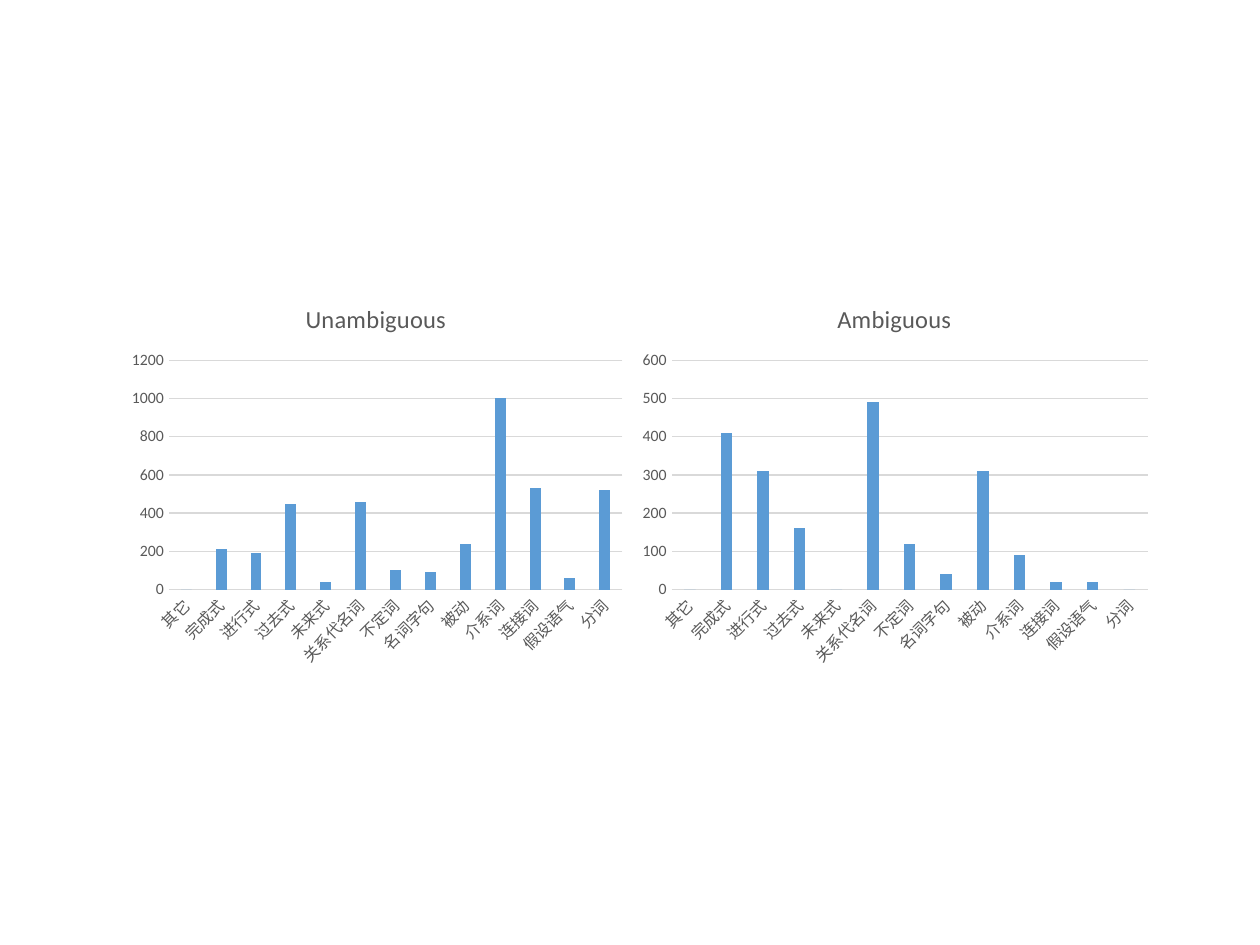
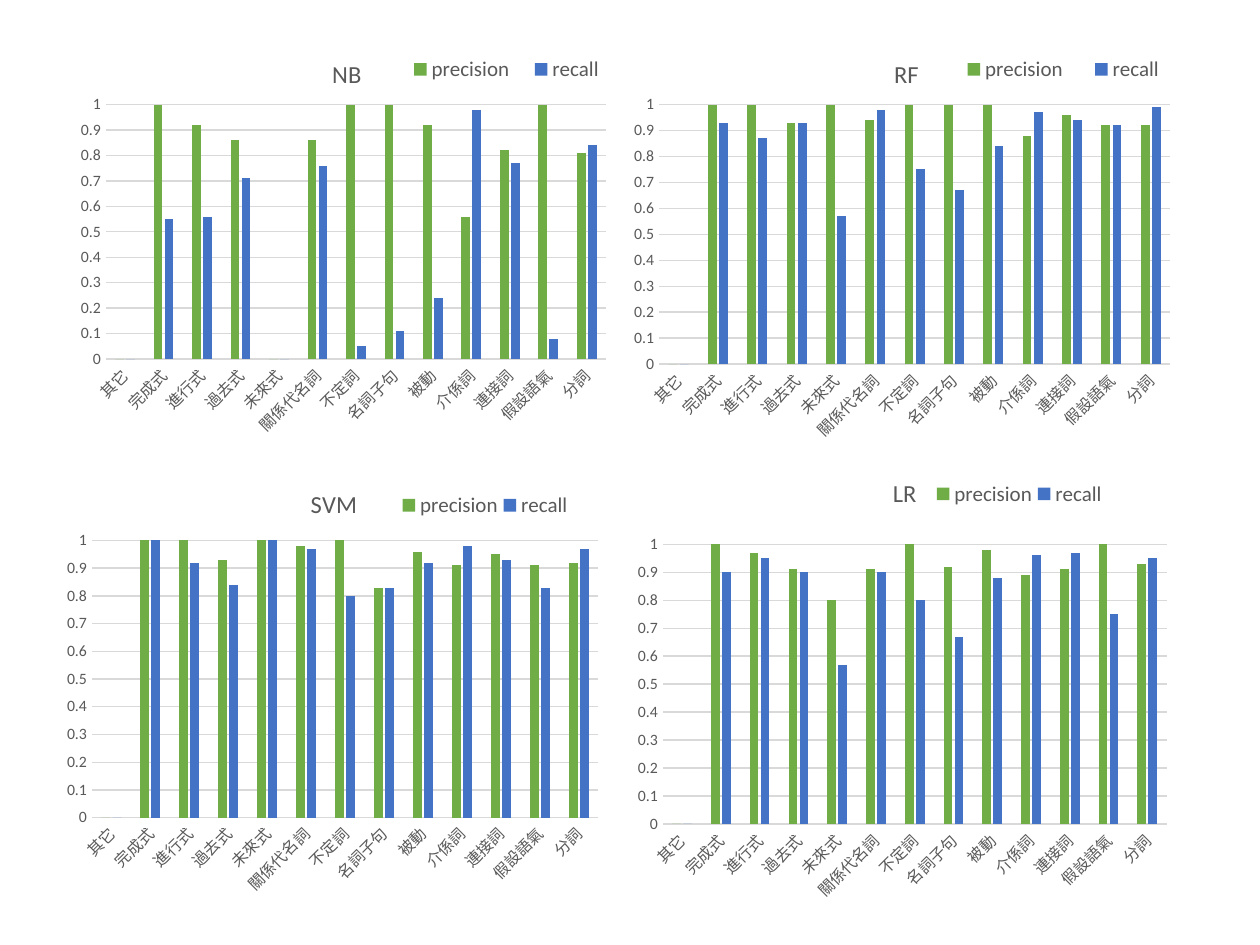
from lxml import etree
from pptx import Presentation
from pptx.chart import data as chart_data
from pptx.dml import color
from pptx.enum import chart as ce
from pptx.oxml import ns
from pptx.util import Inches, Pt

FONT = "Calibri"
GREY, GRID = "595959", "D9D9D9"
COUNT_BLUE, PRECISION_GREEN, RECALL_BLUE = "5B9BD5", "70AD47", "4472C4"
LEGEND_HEIGHT = 0.26

SIMPLIFIED = ["其它", "完成式", "进行式", "过去式", "未来式", "关系代名词", "不定词",
              "名词字句", "被动", "介系词", "连接词", "假设语气", "分词"]
TRADITIONAL = ["其它", "完成式", "進行式", "過去式", "未來式", "關係代名詞", "不定詞",
               "名詞子句", "被動", "介係詞", "連接詞", "假設語氣", "分詞"]

COUNTS = [
    dict(title="Unambiguous", title_at=(2.39, 2.36), frame=(0.96, 2.25, 4.05, 3.35),
         plot=(1.34, 2.86, 3.6, 1.82),
         values=[[0, 210, 190, 450, 40, 460, 100, 90, 240, 1000, 530, 60, 520]]),
    dict(title="Ambiguous", title_at=(6.61, 2.36), frame=(5.01, 2.25, 4.17, 3.35),
         plot=(5.33, 2.86, 3.78, 1.82),
         values=[[0, 410, 310, 160, 0, 490, 120, 40, 310, 90, 20, 20, 0]]),
]
SCORES = [
    dict(title="NB", title_at=(2.6, 0.42), frame=(0.57, 0.27, 4.37, 3.35),
         plot=(0.84, 0.83, 3.97, 2.02), legend=(3.14, 0.42, 1.76),
         values=[[0, 1, 0.92, 0.86, 0, 0.86, 1, 1, 0.92, 0.56, 0.82, 1, 0.81],
                 [0, 0.55, 0.56, 0.71, 0, 0.76, 0.05, 0.11, 0.24, 0.98, 0.77, 0.08, 0.84]]),
    dict(title="SVM", title_at=(2.43, 3.83), frame=(0.36, 3.72, 4.57, 3.49),
         plot=(0.73, 4.29, 4.02, 2.2), legend=(3.15, 3.88, 1.4),
         values=[[0, 1, 1, 0.93, 1, 0.98, 1, 0.83, 0.96, 0.91, 0.95, 0.91, 0.92],
                 [0, 1, 0.92, 0.84, 1, 0.97, 0.8, 0.83, 0.92, 0.98, 0.93, 0.83, 0.97]]),
    dict(title="RF", title_at=(7.06, 0.42), frame=(4.93, 0.27, 4.51, 3.35),
         plot=(5.23, 0.83, 4.06, 2.06), legend=(7.48, 0.42, 1.92),
         values=[[0, 1, 1, 0.93, 1, 0.94, 1, 1, 1, 0.88, 0.96, 0.92, 0.92],
                 [0, 0.93, 0.87, 0.93, 0.57, 0.98, 0.75, 0.67, 0.84, 0.97, 0.94, 0.92, 0.99]]),
    dict(title="LR", title_at=(7.05, 3.74), frame=(4.93, 3.62, 4.49, 3.7),
         plot=(5.26, 4.32, 4, 2.22), legend=(7.39, 3.79, 1.4),
         values=[[0, 1, 0.97, 0.91, 0.8, 0.91, 1, 0.92, 0.98, 0.89, 0.91, 1, 0.93],
                 [0, 0.9, 0.95, 0.9, 0.57, 0.9, 0.8, 0.67, 0.88, 0.96, 0.97, 0.75, 0.95]]),
]
SLIDES = [
    dict(charts=COUNTS, categories=SIMPLIFIED, series=[("Series 1", COUNT_BLUE)], top=None),
    dict(charts=SCORES, categories=TRADITIONAL,
         series=[("precision", PRECISION_GREEN), ("recall", RECALL_BLUE)], top=1),
]


def rgb(value):
    return color.RGBColor.from_string(value)


def style_font(font, size):
    font.name, font.size, font.bold = FONT, Pt(size), False
    font.color.rgb = rgb(GREY)


def style_line(line):
    line.color.rgb = rgb(GRID)
    line.width = Pt(0.75)


def place(part, frame, area, after=None, inner=False):
    """Position a chart part, given in slide inches, inside its frame."""
    for old in part.findall(ns.qn("c:layout")):
        part.remove(old)
    layout = etree.Element(ns.qn("c:layout"))
    manual = etree.SubElement(layout, ns.qn("c:manualLayout"))
    left, top, width, height = frame
    entries = [("layoutTarget", "inner")] if inner else []
    entries += [("xMode", "edge"), ("yMode", "edge")]
    offsets = (area[0] - left, area[1] - top, *area[2:])
    entries += [(name, f"{offset / whole:.4f}") for name, offset, whole
                in zip("xywh", offsets, (width, height, width, height))]
    for name, value in entries:
        etree.SubElement(manual, ns.qn(f"c:{name}")).set("val", value)
    if after:
        part.find(ns.qn(after)).addnext(layout)
    else:
        part.insert(0, layout)


def style_axes(chart, top):
    for axis in (chart.category_axis, chart.value_axis):
        axis.major_tick_mark = axis.minor_tick_mark = ce.XL_TICK_MARK.NONE
        style_font(axis.tick_labels.font, 9)
    categories, values = chart.category_axis, chart.value_axis
    style_line(categories.format.line)
    body = categories._element.find(ns.qn("c:txPr")).find(ns.qn("a:bodyPr"))
    body.set("rot", "-2700000")
    body.set("vert", "horz")
    values.format.line.fill.background()
    values.has_major_gridlines = True
    style_line(values.major_gridlines.format.line)
    values.minimum_scale = 0
    if top:
        values.maximum_scale, values.major_unit = top, top / 10


def add_bars(slide, item, categories, series, top):
    frame = item["frame"]
    table = chart_data.CategoryChartData()
    table.categories = categories
    for (name, _), values in zip(series, item["values"]):
        table.add_series(name, values)
    chart = slide.shapes.add_chart(ce.XL_CHART_TYPE.COLUMN_CLUSTERED,
                                   *map(Inches, frame), table).chart
    chart.font.name, chart.font.size = FONT, Pt(10)

    bars = chart.plots[0]
    bars.gap_width, bars.overlap, bars.vary_by_categories = 219, -27, False
    for bar, (_, fill) in zip(bars.series, series):
        bar.format.fill.solid()
        bar.format.fill.fore_color.rgb = rgb(fill)
        bar.invert_if_negative = False
    style_axes(chart, top)

    chart.has_title = True
    title = chart.chart_title
    run = title.text_frame.paragraphs[0].add_run()
    run.text = item["title"]
    style_font(run.font, 14)
    place(title._element, frame, item["title_at"], "c:tx")

    chart.has_legend = "legend" in item
    if chart.has_legend:
        legend = chart.legend
        legend.position = ce.XL_LEGEND_POSITION.BOTTOM
        legend.include_in_layout = False
        style_font(legend.font, 12)
        place(legend._element, frame, (*item["legend"], LEGEND_HEIGHT), "c:legendPos")
    place(chart._chartSpace.chart.plotArea, frame, item["plot"], inner=True)


def main():
    deck = Presentation()
    deck.slide_width, deck.slide_height = Inches(10), Inches(7.5)
    for page in SLIDES:
        slide = deck.slides.add_slide(deck.slide_layouts[6])
        for item in page["charts"]:
            add_bars(slide, item, page["categories"], page["series"], page["top"])
    deck.save("out.pptx")


if __name__ == "__main__":
    main()
